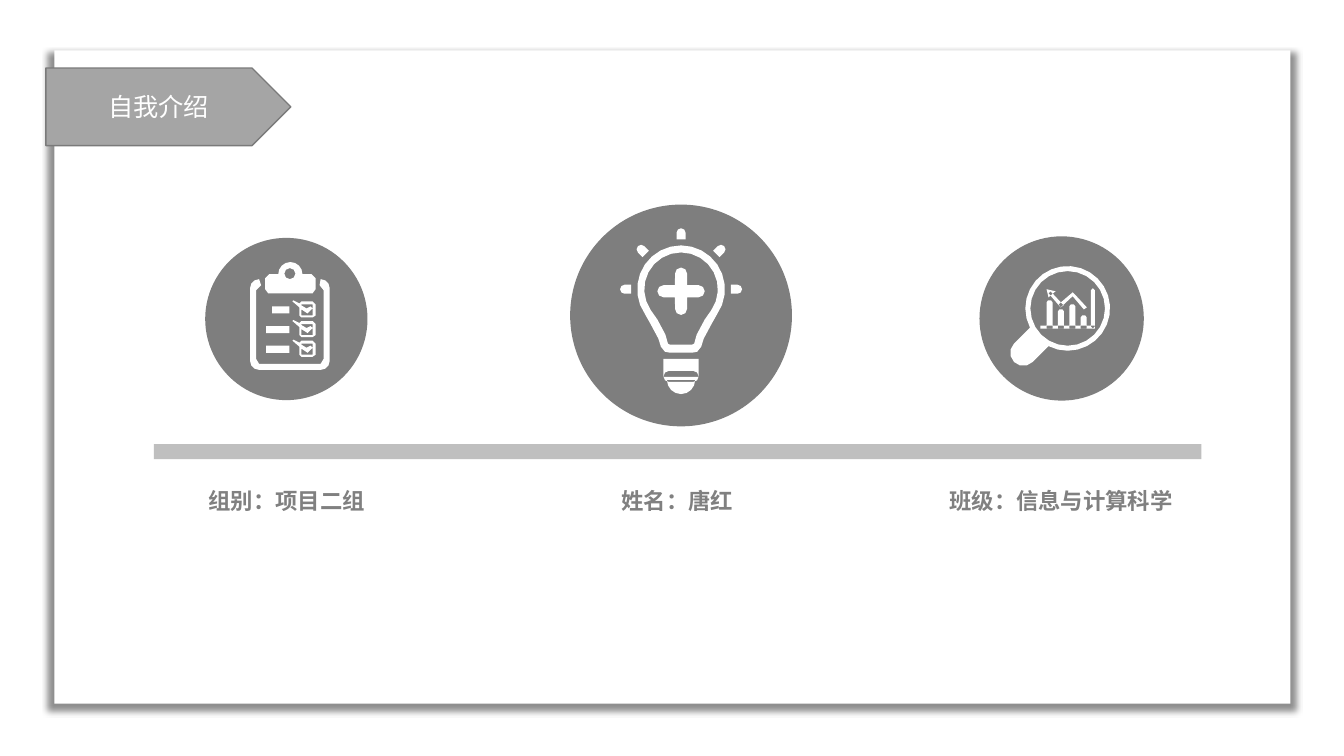
from dataclasses import dataclass
from math import cos, radians, sin

from lxml import etree
from pptx import Presentation
from pptx.dml.color import RGBColor
from pptx.enum.shapes import MSO_SHAPE as SHAPE
from pptx.enum.text import MSO_ANCHOR as ANCHOR, MSO_AUTO_SIZE as AUTO, PP_ALIGN as ALIGN
from pptx.oxml import parse_xml
from pptx.util import Emu, Inches, Pt

# The slide is a grid of 1333 columns by 750 rows; every length is in cells
CELL = Inches(0.01)
COLS, ROWS = 1333, 750


@dataclass(frozen=True)
class Theme:
    white: str = "FFFFFF"
    disc: str = "7E7E7E"
    bar: str = "BFBFBF"
    label: str = "808080"
    tag: str = "A5A5A5"
    tag_line: str = "7A7A7A"
    font: str = "Calibri"
    title_size: int = 18
    label_size: int = 16


T = Theme()


def cells(*values):
    return [Emu(round(v * CELL)) for v in values]


def paint(sp, fill, line=None):
    sp.shadow.inherit = False
    sp.fill.solid()
    sp.fill.fore_color.rgb = RGBColor.from_string(fill)
    if line:
        sp.line.color.rgb = RGBColor.from_string(line)
        sp.line.width = Pt(1)
    else:
        sp.line.fill.background()
    return sp


def block(s, kind, x, y, w, h, fill, line=None):
    return paint(s.shapes.add_shape(kind, *cells(x, y, w, h)), fill, line)


def write(sp, text, size, color, bold=False, anchor=ANCHOR.TOP, auto=AUTO.NONE):
    tf = sp.text_frame
    tf.word_wrap = True
    tf.auto_size = auto
    tf.vertical_anchor = anchor
    p = tf.paragraphs[0]
    p.alignment = ALIGN.CENTER
    r = p.add_run()
    r.text = text
    r.font.name, r.font.size, r.font.bold = T.font, Pt(size), bold
    r.font.color.rgb = RGBColor.from_string(color)


# Contours: lists of points, where overlaps become holes
def rect(x, y, w, h):
    return [(x, y), (x + w, y), (x + w, y + h), (x, y + h)]


def arc(cx, cy, r, start, end, steps):
    """Points on an arc, in clockwise degrees from the right."""
    angles = [radians(start + (end - start) * i / steps) for i in range(steps + 1)]
    return [(cx + r * cos(a), cy + r * sin(a)) for a in angles]


def ring(cx, cy, r, steps):
    return arc(cx, cy, r, 0, 360, steps)[:-1]


def mirrored(cx, half):
    """A right-hand run of (offset, y) points, then its mirror image."""
    return [(cx + dx, y) for dx, y in half] + [(cx - dx, y) for dx, y in reversed(half)]


def icon_shape(s, contours):
    fb = None
    for contour in contours:
        start, *rest = [cells(*pt) for pt in contour]
        if fb is None:
            fb = s.shapes.build_freeform(*start, scale=1.0)
        else:
            fb.move_to(*start)
        fb.add_line_segments(rest, close=True)
    paint(fb.convert_to_shape(), T.white)


def clipboard(s):
    board = (arc(318, 286, 9, -90, 0, 3) + arc(318, 358, 9, 0, 90, 3)
             + arc(257, 358, 9, 90, 180, 3) + arc(257, 286, 9, 180, 270, 3)
             + [(259, 283), (254, 288), (254, 356), (257, 361),
                (318, 361), (321, 356), (321, 288), (317, 283)])
    clip = arc(288, 272, 12, 180, 360, 8) + mirrored(
        288, [(21, 272), (25, 276), (25, 287), (22, 291)])
    contours = [board, clip, ring(287.5, 271.5, 5.5, 8)]
    # Checklist rows: box, tick cut out of it, line of text
    box = [(7, 2), (9, 0), (20, 0), (23, 3), (23, 14), (20, 16), (9, 16),
           (7, 14), (7, 6), (0, 0), (1, -1)]
    tick = [(20, 3), (9, 3), (9, 4), (14, 7), (18, 5), (20, 7), (15, 12),
            (9, 8), (9, 14), (20, 14)]
    for i, indent in enumerate((6, 0, 0)):
        y = 299 + 19.5 * i
        contours += [[(290 + dx, y + dy) for dx, dy in part] for part in (box, tick)]
        contours.append(rect(264 + indent, y + 5, 23 - indent, 7))
    icon_shape(s, contours)


def bulb(s):
    cx, cy, plus_y = 675.5, 287, 289
    # Glass
    contours = [
        arc(cx, cy, 43.5, 145, 395, 18) + mirrored(
            cx, [(30.5, 321), (22.5, 336), (20, 344), (16, 349), (11, 350)]),
        arc(cx, cy, 36.5, 145, 395, 16) + mirrored(
            cx, [(23.5, 317), (15.5, 332), (13, 341), (11, 342)]),
    ]
    # Plus sign: four round-ended arms with a corner after each
    plus = []
    for turn in range(0, 360, 90):
        a, corner = radians(turn), radians(turn + 45)
        plus += arc(cx + 17.5 * cos(a), plus_y + 17.5 * sin(a), 6, turn - 90, turn + 90, 4)
        plus.append((cx + 8.5 * cos(corner), plus_y + 8.5 * sin(corner)))
    contours.append(plus)
    # Rays
    for turn in range(-180, 1, 45):
        ux, uy = cos(radians(turn)), sin(radians(turn))
        ends = [(cx + 49.5 * ux + d * uy, cy + 49.5 * uy - d * ux) for d in (-4.5, 4.5)]
        contours.append(
            ends + arc(cx + 56 * ux, cy + 56 * uy, 4.5, turn - 90, turn + 90, 4))
    # Screw base
    contours += [
        rect(658, 356, 35, 18),
        arc(663.5, 373.5, 5.5, 90, 270, 4) + arc(687.5, 373.5, 5.5, -90, 90, 4),
        arc(cx, 377, 14, 0, 180, 8),
    ]
    icon_shape(s, contours)


def magnifier(s):
    # Lens with handle, lens opening, baseline, axis
    contours = [
        arc(1059, 306, 42, 153, 477, 24) + arc(1015, 350, 13, 45, 225, 6),
        ring(1059, 306, 37, 24),
        rect(1032, 323, 54, 3),
        arc(1084, 288, 2, 180, 360, 2) + arc(1084, 324, 2, 0, 180, 2),
    ]
    # Bars
    for i, top in enumerate((298, 307, 302, 313)):
        x = 1041 + 11.3 * i
        contours.append(mirrored(x, [(1.5, top), (3, top + 2), (3, 326)]))
    # Trend line and its arrowhead
    contours += [
        [(1064, 294), (1075, 307), (1078, 305), (1066, 292)],
        [(1052, 305), (1066, 292), (1064, 290), (1050, 302)],
        [(1040, 291), (1052, 305), (1055, 303), (1042, 289)],
        [(1038, 287), (1040, 295), (1047, 289)],
    ]
    icon_shape(s, contours)


def card(s):
    sp = block(s, SHAPE.RECTANGLE, 54, 50, 1226, 648, T.white)
    effects = sp.element.spPr.find("{*}effectLst")
    ns = etree.QName(effects).namespace
    effects.append(parse_xml(
        f'<a:outerShdw xmlns:a="{ns}" blurRad="{Pt(4)}" dist="{Pt(4)}" dir="5400000" '
        'sx="101000" sy="101000" algn="ctr" rotWithShape="0">'
        '<a:srgbClr val="000000"><a:alpha val="43000"/></a:srgbClr></a:outerShdw>'))


def title_tag(s, text):
    x, y, w, h = 45.5, 67.5, 243, 77
    block(s, SHAPE.PENTAGON, x, y, w, h, T.tag, T.tag_line)
    title = s.shapes.title
    # The text area ends halfway along the point of the tag
    title.left, title.top, title.width, title.height = cells(x, y, w - h / 4, h)
    write(title, text, T.title_size, T.white, anchor=ANCHOR.MIDDLE)
    s.shapes.element.append(title.element)  # bring to front


def label(s, x, text):
    sp = s.shapes.add_textbox(*cells(x, 478, 303, 37))
    write(sp, text, T.label_size, T.label, bold=True, auto=AUTO.SHAPE_TO_FIT_TEXT)


def main():
    prs = Presentation()
    prs.slide_width, prs.slide_height = cells(COLS, ROWS)
    s = prs.slides.add_slide(prs.slide_layouts[5])
    card(s)
    block(s, SHAPE.RECTANGLE, 152.5, 440.5, 1039, 15, T.bar)
    # Each topic: disc, icon, label
    topics = [
        ((203.5, 236, 161), clipboard, 133, "组别：项目二组"),
        ((565.5, 203, 220), bulb, 520.5, "姓名：唐红"),
        ((971.5, 234.5, 163), magnifier, 901, "班级：信息与计算科学"),
    ]
    for (x, y, size), icon, label_x, text in topics:
        block(s, SHAPE.OVAL, x, y, size, size, T.disc)
        icon(s)
        label(s, label_x, text)
    title_tag(s, "自我介绍")
    prs.save("out.pptx")


if __name__ == "__main__":
    main()
